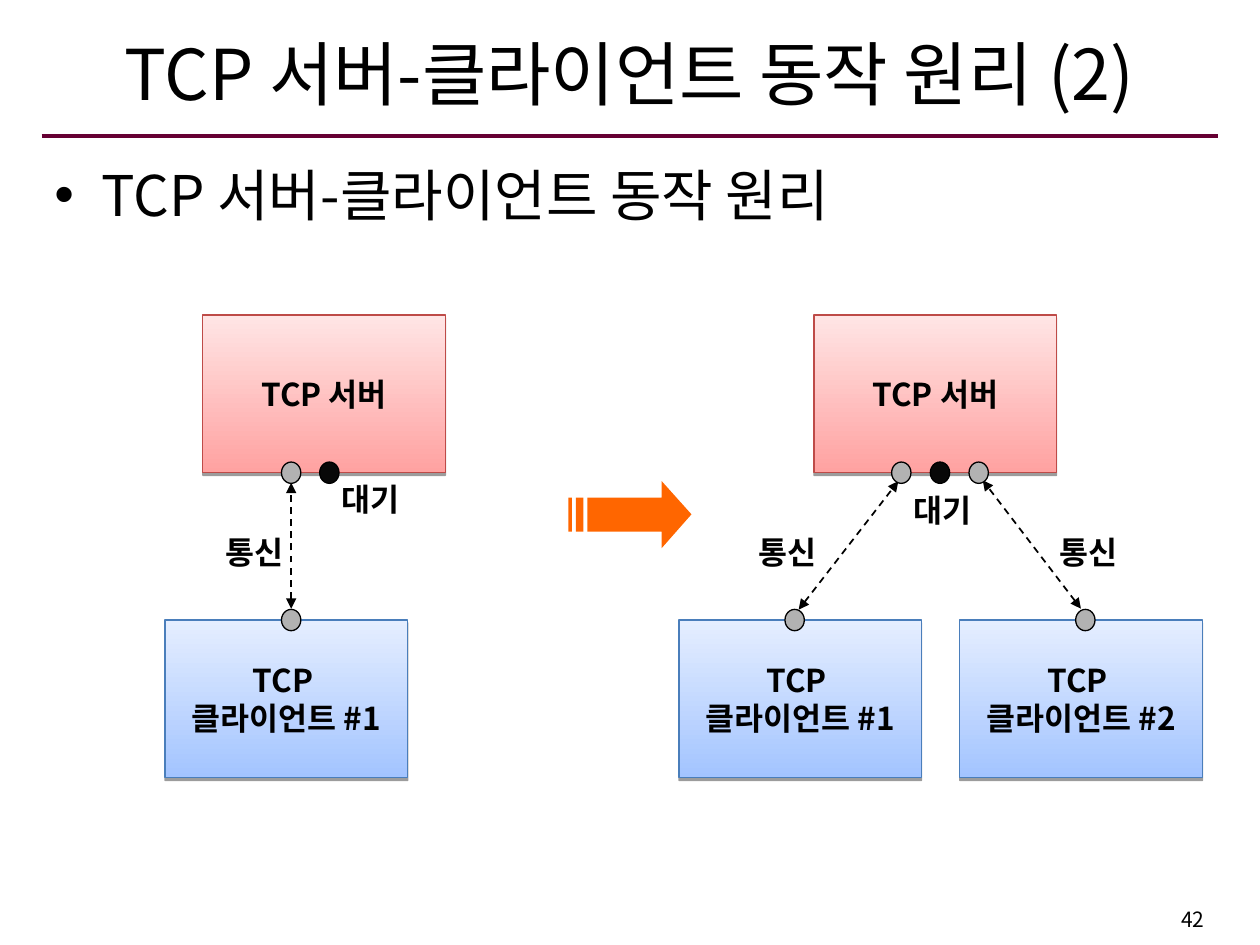
from typing import NamedTuple

from lxml.etree import SubElement
from pptx import Presentation
from pptx.dml.color import RGBColor
from pptx.enum.dml import MSO_LINE
from pptx.enum.shapes import MSO_CONNECTOR, MSO_SHAPE
from pptx.enum.text import MSO_ANCHOR, MSO_AUTO_SIZE, PP_ALIGN
from pptx.oxml.ns import qn
from pptx.util import Cm, Pt

FONT = "Noto Sans CJK KR"
BOX_W, BOX_H = 4.89, 3.18
SERVER_Y, CLIENT_Y = 6.35, 12.5
PORT_Y = SERVER_Y + BOX_H
DOT_W, DOT_H = 0.39, 0.43
LABEL_W, LABEL_H = 4.29, 0.64


class Style(NamedTuple):
    bottom: str
    top: str
    line: str


class Box(NamedTuple):
    x: float
    y: float
    lines: list[str]
    style: Style


class Dot(NamedTuple):
    x: float
    y: float
    color: str


class Link(NamedTuple):
    x1: float
    y1: float
    x2: float
    y2: float


class Label(NamedTuple):
    x: float
    y: float
    text: str


RED = Style("FFA2A1", "FFE5E5", "BE4B48")
BLUE = Style("A3C4FF", "E5EEFF", "4A7EBB")
WAITING, TALKING = "080808", "B2B2B2"

BOXES = [
    Box(4.09, SERVER_Y, ["TCP 서버"], RED),
    Box(3.33, CLIENT_Y, ["TCP ", "클라이언트 #1"], BLUE),
    Box(16.41, SERVER_Y, ["TCP 서버"], RED),
    Box(13.69, CLIENT_Y, ["TCP ", "클라이언트 #1"], BLUE),
    Box(19.35, CLIENT_Y, ["TCP ", "클라이언트 #2"], BLUE),
]
LINKS = [
    Link(5.87, 12.27, 5.87, 9.73),
    Link(16.1, 12.29, 18.11, 9.7),
    Link(21.79, 12.27, 19.81, 9.68),
]
DOTS = [
    Dot(5.87, PORT_Y, TALKING),
    Dot(6.64, PORT_Y, WAITING),
    Dot(5.87, CLIENT_Y, TALKING),
    Dot(18.17, PORT_Y, TALKING),
    Dot(18.95, PORT_Y, WAITING),
    Dot(19.73, PORT_Y, TALKING),
    Dot(16.02, CLIENT_Y, TALKING),
    Dot(21.88, CLIENT_Y, TALKING),
]
LABELS = [
    Label(4.29, 10.8, "통신"),
    Label(6.63, 9.73, "대기"),
    Label(15.04, 10.8, "통신"),
    Label(21.11, 10.8, "통신"),
    Label(18.16, 9.96, "대기"),
]
ARROW_PARTS = [
    [(13.34, 9.7), (13.34, 10.03), (11.84, 10.03), (11.84, 10.72),
     (13.34, 10.72), (13.34, 11.05), (13.94, 10.37)],
    [(11.61, 10.03), (11.61, 10.72), (11.76, 10.72), (11.76, 10.03)],
    [(11.46, 10.03), (11.46, 10.72), (11.53, 10.72), (11.53, 10.03)],
]


def rgb(value: str) -> RGBColor:
    return RGBColor.from_string(value)


def add_run(p, text: str, size: float, bold: bool = False) -> None:
    r = p.add_run()
    r.text = text
    r.font.size = Pt(size)
    r.font.bold = bold
    r.font.name = FONT
    r.font.color.rgb = rgb("000000")
    SubElement(r.font._element, qn("a:ea")).set("typeface", FONT)


def place(sp, x: float, y: float, w: float, h: float) -> None:
    sp.left, sp.top, sp.width, sp.height = Cm(x), Cm(y), Cm(w), Cm(h)


def fill_placeholder(sp, text: str, size: float, anchor: MSO_ANCHOR) -> None:
    tf = sp.text_frame
    tf.auto_size = MSO_AUTO_SIZE.NONE
    tf.vertical_anchor = anchor
    p = tf.paragraphs[0]
    p.space_before = Pt(0)
    add_run(p, text, size)


def add_text(s, x: float, y: float, w: float, h: float, text: str, size: float,
             bold: bool, align: PP_ALIGN, anchor: MSO_ANCHOR) -> None:
    tf = s.shapes.add_textbox(Cm(x), Cm(y), Cm(w), Cm(h)).text_frame
    tf.word_wrap = True
    tf.vertical_anchor = anchor
    p = tf.paragraphs[0]
    p.alignment = align
    add_run(p, text, size, bold)


def add_line(s, link: Link, color: str, width: float):
    cx = s.shapes.add_connector(MSO_CONNECTOR.STRAIGHT, *(Cm(v) for v in link))
    cx.line.color.rgb = rgb(color)
    cx.line.width = Pt(width)
    SubElement(cx._element.spPr, qn("a:effectLst"))
    return cx


def add_link(s, link: Link) -> None:
    cx = add_line(s, link, "000000", 1)
    cx.line.dash_style = MSO_LINE.DASH
    for end in ("a:headEnd", "a:tailEnd"):
        SubElement(cx.line._get_or_add_ln(), qn(end)).set("type", "triangle")


def add_shadow(sp) -> None:
    sp.shadow.inherit = False
    effects = sp._element.spPr.find(qn("a:effectLst"))
    shadow = SubElement(effects, qn("a:outerShdw"), blurRad="0", dist="20000",
                        dir="5400000", rotWithShape="0")
    color = SubElement(shadow, qn("a:srgbClr"), val="000000")
    SubElement(color, qn("a:alpha"), val="38000")


def add_box(s, box: Box) -> None:
    sp = s.shapes.add_shape(MSO_SHAPE.RECTANGLE, Cm(box.x), Cm(box.y), Cm(BOX_W), Cm(BOX_H))
    sp.fill.gradient()
    sp.fill.gradient_angle = 90
    for stop, color in zip(sp.fill.gradient_stops, (box.style.bottom, box.style.top)):
        stop.color.rgb = rgb(color)
    sp.line.color.rgb = rgb(box.style.line)
    sp.line.width = Pt(0.75)
    add_shadow(sp)
    tf = sp.text_frame
    tf.word_wrap = False
    tf.vertical_anchor = MSO_ANCHOR.MIDDLE
    for i, line in enumerate(box.lines):
        p = tf.add_paragraph() if i else tf.paragraphs[0]
        p.alignment = PP_ALIGN.CENTER
        add_run(p, line, 18, True)


def add_dot(s, dot: Dot) -> None:
    sp = s.shapes.add_shape(MSO_SHAPE.OVAL, Cm(dot.x - DOT_W / 2), Cm(dot.y - DOT_H / 2),
                            Cm(DOT_W), Cm(DOT_H))
    sp.shadow.inherit = False
    sp.fill.solid()
    sp.fill.fore_color.rgb = rgb(dot.color)
    sp.line.color.rgb = rgb("000000")
    sp.line.width = Pt(0.75)


def add_striped_arrow(s) -> None:
    parts = [[(Cm(x), Cm(y)) for x, y in part] for part in ARROW_PARTS]
    fb = s.shapes.build_freeform(*parts[0][0], scale=1.0)
    for i, part in enumerate(parts):
        if i:
            fb.move_to(*part[0])
        fb.add_line_segments(part[1:], close=True)
    sp = fb.convert_to_shape()
    sp.shadow.inherit = False
    sp.fill.solid()
    sp.fill.fore_color.rgb = rgb("FF6600")
    sp.line.fill.background()


def main() -> None:
    prs = Presentation()
    prs.slide_width, prs.slide_height = Cm(25.4), Cm(19.05)
    s = prs.slides.add_slide(prs.slide_layouts[1])
    title, body = s.placeholders
    place(title, 0.84, 0.38, 23.7, 2.16)
    fill_placeholder(title, "TCP 서버-클라이언트 동작 원리 (2)", 40, MSO_ANCHOR.MIDDLE)
    place(body, 0.84, 3.1, 23.7, 14.88)
    fill_placeholder(body, "TCP 서버-클라이언트 동작 원리", 32, MSO_ANCHOR.TOP)
    add_line(s, Link(0.84, 2.74, 24.56, 2.74), "660033", 2.25)
    add_text(s, 19.15, 18.16, 5.38, 0.84, "42", 12, False, PP_ALIGN.RIGHT, MSO_ANCHOR.TOP)
    for box in BOXES:
        add_box(s, box)
    for link in LINKS:
        add_link(s, link)
    for dot in DOTS:
        add_dot(s, dot)
    for label in LABELS:
        add_text(s, label.x, label.y, LABEL_W, LABEL_H, label.text, 18, True,
                 PP_ALIGN.LEFT, MSO_ANCHOR.MIDDLE)
    add_striped_arrow(s)
    prs.save("out.pptx")


if __name__ == "__main__":
    main()
